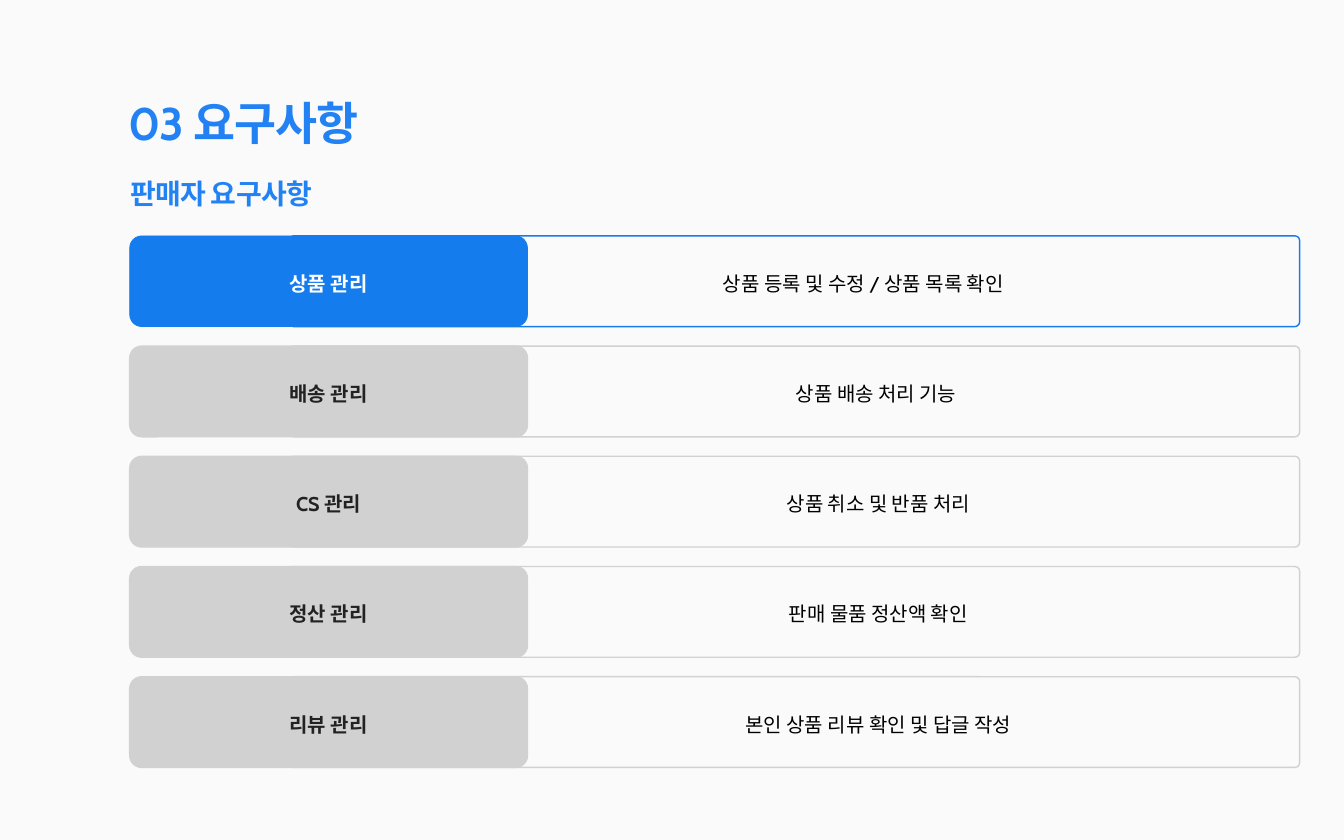
from lxml import etree
from pptx import Presentation
from pptx.dml.color import RGBColor
from pptx.enum.shapes import MSO_SHAPE
from pptx.enum.text import PP_ALIGN
from pptx.oxml.ns import qn
from pptx.util import Inches, Pt

ROUNDED = MSO_SHAPE.ROUNDED_RECTANGLE
CENTER = PP_ALIGN.CENTER
FONT = "Cabin"
COLORS = {
    "page": "FAFAFA",
    "heading": "2282F3",
    "active": "157CEE",
    "inactive": "D1D1D1",
    "white": "FFFFFF",
    "label": "222222",
    "body": "000000",
}

# label, description, horizontal centre of the description
REQUIREMENTS = [
    ("상품 관리", "상품 등록 및 수정 / 상품 목록 확인 ", 12.88),
    ("배송 관리", "상품 배송 처리 기능 ", 13.07),
    ("CS 관리", "상품 취소 및 반품 처리", 13.07),
    ("정산 관리", "판매 물품 정산액 확인", 13.07),
    ("리뷰 관리", "본인 상품 리뷰 확인 및 답글 작성", 13.07),
]
ROW_LEFT, ROW_TOP, ROW_WIDTH, ROW_HEIGHT = 1.93, 3.51, 17.41, 1.35
ROW_PITCH = 1.64
LABEL_WIDTH = 5.92
FRAME_INSET = 2.37


def color(name):
    return RGBColor.from_string(COLORS[name])


def add_text(page, text, center, top, width, height, size, leading, tint,
             bold=False, spacing=None):
    """Add one centred line of text around a horizontal centre."""
    box = page.shapes.add_textbox(Inches(center - width / 2), Inches(top),
                                  Inches(width), Inches(height))
    frame = box.text_frame
    frame.word_wrap = True
    frame.margin_left = frame.margin_right = 0
    frame.margin_top = frame.margin_bottom = 0
    frame.text = text
    para = frame.paragraphs[0]
    para.alignment = CENTER
    para.line_spacing = Pt(leading)
    span = para.runs[0]
    span.font.size = Pt(size)
    span.font.bold = bold
    span.font.name = FONT
    span.font.color.rgb = color(tint)
    properties = span.font._element
    etree.SubElement(properties, qn("a:ea")).set("typeface", FONT)
    if spacing is not None:
        properties.set("spc", str(round(spacing * 100)))


def add_panel(page, left, top, width, height, radius, fill, line, weight):
    panel = page.shapes.add_shape(ROUNDED, Inches(left), Inches(top),
                                  Inches(width), Inches(height))
    panel.adjustments[0] = radius / min(width, height)
    panel.shadow.inherit = False
    panel.fill.solid()
    panel.fill.fore_color.rgb = color(fill)
    panel.line.color.rgb = color(line)
    panel.line.width = Pt(weight)


def add_headings(page, left, top):
    add_text(page, "03 요구사항", left + 1.69, top, 7, 1.02,
             48.9, 78.2, "heading", bold=True, spacing=-1.1)
    add_text(page, "판매자 요구사항", left + 1.36, top + 1.32, 6, 0.64,
             30, 48, "heading", bold=True, spacing=-0.7)


def add_requirement(page, left, top, width, height, requirement, active):
    """Add a filled label over the left end of an outlined frame."""
    label, description, center = requirement
    accent = "active" if active else "inactive"
    add_panel(page, left + FRAME_INSET, top, width - FRAME_INSET, height,
              0.07, "page", accent, 1.5)
    add_panel(page, left, top, LABEL_WIDTH, height,
              0.18, accent, accent, 0.75 if active else 1.5)
    text_top = top + 0.41
    add_text(page, label, left + LABEL_WIDTH / 2, text_top, 2.86, 0.44,
             21.4, 34.2, "white" if active else "label", bold=True)
    add_text(page, description, center, text_top, 6.72, 0.44,
             21.4, 34.2, "body")


def main():
    deck = Presentation()
    deck.slide_width, deck.slide_height = Inches(20), Inches(12.5)
    page = deck.slides.add_slide(deck.slide_layouts[6])
    page.background.fill.solid()
    page.background.fill.fore_color.rgb = color("page")
    add_headings(page, ROW_LEFT, 1.14)
    for index, requirement in enumerate(REQUIREMENTS):
        add_requirement(page, ROW_LEFT, ROW_TOP + index * ROW_PITCH, ROW_WIDTH,
                        ROW_HEIGHT, requirement, active=index == 0)
    deck.save("out.pptx")


if __name__ == "__main__":
    main()
